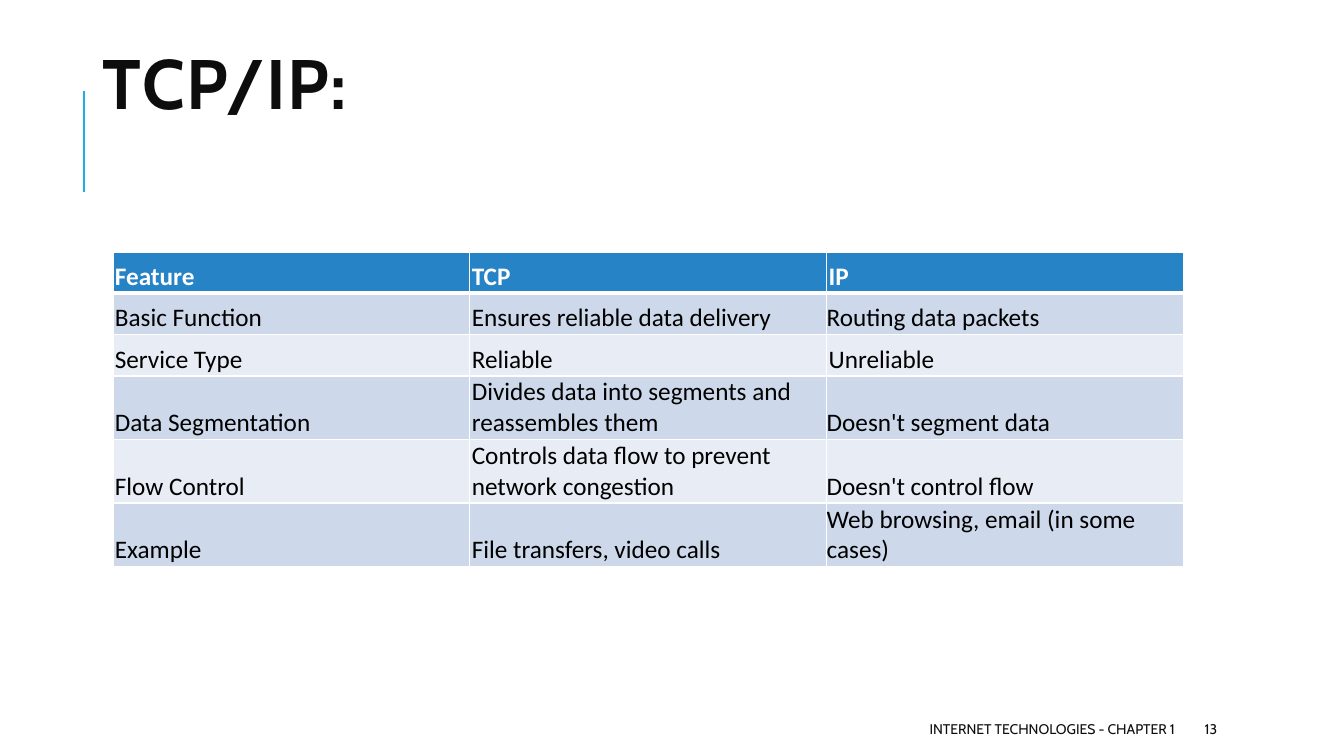
import pptx
import pptx.dml.color
import pptx.enum.shapes
import pptx.enum.text
import pptx.oxml
import pptx.oxml.ns
import pptx.util
from pptx.dml.color import RGBColor
from pptx.enum.text import MSO_ANCHOR, MSO_AUTO_SIZE, PP_ALIGN
from pptx.util import Inches, Pt

HEADING = "TCP/IP:"
COMPARISON = [
    ("Feature", "TCP", "IP"),
    ("Basic Function", "Ensures reliable data delivery", "Routing data packets"),
    ("Service Type", "Reliable", "Unreliable"),
    ("Data Segmentation", "Divides data into segments and reassembles them", "Doesn't segment data"),
    ("Flow Control", "Controls data flow to prevent network congestion", "Doesn't control flow"),
    ("Example", "File transfers, video calls", "Web browsing, email (in some cases)"),
]
FLUSH_CELLS = {(1, 2), (3, 2), (4, 2), (5, 2)}
FOOTER = [
    ("INTERNET TECHNOLOGIES - CHAPTER 1", 5.3, 6.45, PP_ALIGN.RIGHT),
    ("13", 11.85, 1.06, PP_ALIGN.LEFT),
]

INK = RGBColor(0x0D, 0x0D, 0x0D)
BLACK = RGBColor(0, 0, 0)
WHITE = RGBColor(0xFF, 0xFF, 0xFF)
ACCENT = RGBColor(0x1C, 0xAD, 0xE4)
HEADER_BLUE = RGBColor(0x26, 0x83, 0xC6)
BANDS = [RGBColor(0xE8, 0xED, 0xF5), RGBColor(0xCD, 0xD9, 0xEA)]

COLUMN_WIDTH, ROW_HEIGHT = 3.54, 0.41


def apply_format(target, values):
    """Set each attribute in values on target."""
    for attribute, value in values.items():
        setattr(target, attribute, value)


def write(frame, text, size, face, color, bold=False, align=PP_ALIGN.LEFT):
    """Put one formatted paragraph into a text frame and return it."""
    paragraph = frame.paragraphs[0]
    paragraph.alignment = align
    run = paragraph.add_run()
    run.text = text
    apply_format(run.font, {"size": Pt(size), "name": face, "bold": bold})
    run.font.color.rgb = color
    return paragraph


def add_borders(cell, row):
    """Draw white borders round a cell, thicker under the header."""
    widths = {"L": 1, "R": 1, "T": 3 if row == 1 else 1, "B": 3 if row == 0 else 1}
    properties = cell._tc.get_or_add_tcPr()
    for position, (side, width) in enumerate(widths.items()):
        properties.insert(position, pptx.oxml.parse_xml(
            f'<a:ln{side} {pptx.oxml.ns.nsdecls("a")} w="{Pt(width)}">'
            f'<a:solidFill><a:srgbClr val="{WHITE}"/></a:solidFill></a:ln{side}>'))


def add_heading(slide):
    """Add the accent rule and the title."""
    rule = slide.shapes.add_connector(
        pptx.enum.shapes.MSO_CONNECTOR.STRAIGHT,
        Inches(0.83), Inches(1.9), Inches(0.83), Inches(0.9))
    rule.line.color.rgb = ACCENT
    rule.line.width = Pt(1.5)
    rule._element.spPr.append(pptx.oxml.parse_xml(
        f'<a:effectLst {pptx.oxml.ns.nsdecls("a")}/>'))

    title = slide.shapes.title
    apply_format(title, {"left": Inches(0.92), "top": Inches(0.4),
                         "width": Inches(11.5), "height": Inches(0.98)})
    apply_format(title.text_frame, {"vertical_anchor": MSO_ANCHOR.MIDDLE,
                                    "word_wrap": True, "auto_size": MSO_AUTO_SIZE.NONE})
    paragraph = write(title.text_frame, HEADING, 50, "Cabin", INK, bold=True)
    paragraph.line_spacing = 0.8
    paragraph.runs[0].font._element.set("spc", "100")


def add_comparison(slide):
    """Add the feature table."""
    rows, columns = len(COMPARISON), len(COMPARISON[0])
    table = slide.shapes.add_table(
        rows, columns, Inches(1.12), Inches(2.5),
        Inches(COLUMN_WIDTH * columns), Inches(ROW_HEIGHT * rows)).table
    for row, entries in enumerate(COMPARISON):
        table.rows[row].height = Inches(ROW_HEIGHT)
        for column, entry in enumerate(entries):
            cell = table.cell(row, column)
            side = Inches(0 if (row, column) in FLUSH_CELLS else 0.02)
            apply_format(cell, {"margin_left": side, "margin_right": side,
                                "margin_top": Inches(0.01), "margin_bottom": Inches(0.01),
                                "vertical_anchor": MSO_ANCHOR.BOTTOM})
            header = row == 0
            cell.fill.solid()
            cell.fill.fore_color.rgb = HEADER_BLUE if header else BANDS[row % 2]
            add_borders(cell, row)
            write(cell.text_frame, entry, 18, "Calibri", WHITE if header else BLACK, bold=header)


def add_footer(slide):
    """Add the course name and the page number."""
    for text, left, width, align in FOOTER:
        box = slide.shapes.add_textbox(Inches(left), Inches(7.08), Inches(width), Inches(0.3))
        apply_format(box.text_frame, {"word_wrap": True, "vertical_anchor": MSO_ANCHOR.MIDDLE})
        write(box.text_frame, text, 10, "Cabin", INK, align=align)


def main():
    """Build the slide and save it."""
    deck = pptx.Presentation()
    apply_format(deck, {"slide_width": Inches(13.33), "slide_height": Inches(7.5)})
    slide = deck.slides.add_slide(deck.slide_layouts[5])
    add_heading(slide)
    add_comparison(slide)
    add_footer(slide)
    deck.save("out.pptx")


if __name__ == "__main__":
    main()
